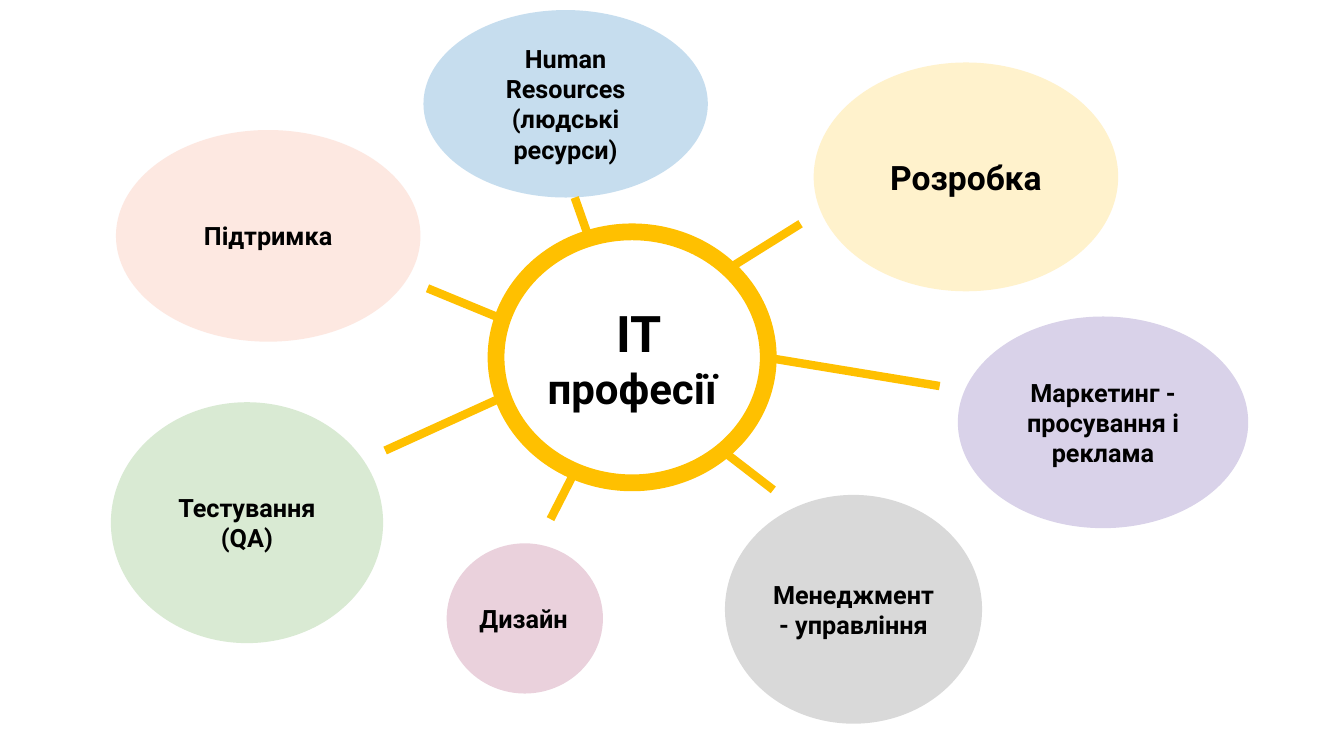
from dataclasses import dataclass

import pptx
import pptx.dml.color
import pptx.enum.shapes
import pptx.enum.text
import pptx.oxml.ns
import pptx.util
from lxml import etree

PX = 9144  # EMU per px, 100 px to the inch
FONT = "Roboto"
AMBER = "FFC000"
CENTER = pptx.enum.text.PP_ALIGN.CENTER
LEFT = pptx.enum.text.PP_ALIGN.LEFT


@dataclass
class Bubble:
    x: int
    y: int
    w: int
    h: int
    fill: str
    text: str
    size: int = 18
    alpha: int = 100
    align: pptx.enum.text.PP_ALIGN = CENTER


@dataclass
class Spoke:
    x1: int
    y1: int
    x2: int
    y2: int


BUBBLES = [
    Bubble(115, 129, 302, 210, "F8A185", "Підтримка", alpha=24),
    Bubble(420, 10, 282, 186, "1274BB", "Human\nResources", alpha=24),
    Bubble(807, 62, 302, 227, "FFF2CC", "Розробка", size=24),
    Bubble(110, 399, 270, 239, "D9EAD3", "Тестування (QA)"),
    Bubble(443, 539, 155, 149, "EAD1DC", "Дизайн", align=LEFT),
    Bubble(719, 491, 255, 227, "D9D9D9", "Менеджмент - управління"),
    Bubble(950, 314, 288, 210, "D9D2E9", "Маркетинг - просування і реклама"),
]
HR_TRANSLATION = "(людські ресурси)"

SPOKES = [
    Spoke(722, 267, 794, 222),
    Spoke(762, 355, 932, 383),
    Spoke(719, 449, 767, 486),
    Spoke(568, 472, 546, 515),
    Spoke(492, 397, 382, 447),
    Spoke(492, 314, 424, 286),
    Spoke(582, 230, 570, 196),
]


def px(n: int) -> int:
    return pptx.util.Emu(n * PX)


def rgb(color: str) -> pptx.dml.color.RGBColor:
    return pptx.dml.color.RGBColor.from_string(color)


def add_text(p, text: str, *, size: int, align=CENTER) -> None:
    """Append bold text to a paragraph, one run per line."""
    p.alignment = align
    for i, line in enumerate(text.split("\n")):
        if i:
            p.add_line_break()
        r = p.add_run()
        r.text = line
        r.font.name = FONT
        r.font.size = pptx.util.Pt(size)
        r.font.bold = True
        r.font.color.rgb = rgb("000000")


def add_bubble(s, b: Bubble, inset: int = 5):
    oval = pptx.enum.shapes.MSO_SHAPE.OVAL
    sp = s.shapes.add_shape(oval, px(b.x), px(b.y), px(b.w), px(b.h))
    sp.shadow.inherit = False
    sp.fill.solid()
    sp.fill.fore_color.rgb = rgb(b.fill)
    sp.line.fill.background()
    if b.alpha < 100:
        clr = sp.fill._xPr.find(".//" + pptx.oxml.ns.qn("a:srgbClr"))
        etree.SubElement(clr, pptx.oxml.ns.qn("a:alpha"), val=str(b.alpha * 1000))
    tf = sp.text_frame
    tf.word_wrap = True
    tf.vertical_anchor = pptx.enum.text.MSO_ANCHOR.MIDDLE
    tf.margin_left = tf.margin_right = px(10)
    tf.margin_top = tf.margin_bottom = px(inset)
    add_text(tf.paragraphs[0], b.text, size=b.size, align=b.align)
    return sp


def add_spoke(s, k: Spoke) -> None:
    straight = pptx.enum.shapes.MSO_CONNECTOR.STRAIGHT
    c = s.shapes.add_connector(straight, px(k.x1), px(k.y1), px(k.x2), px(k.y2))
    c.line.color.rgb = rgb(AMBER)
    c.line.width = pptx.util.Pt(6)
    etree.SubElement(c._element.spPr, pptx.oxml.ns.qn("a:effectLst"))


def main() -> None:
    prs = pptx.Presentation()
    prs.slide_width, prs.slide_height = px(1333), px(750)
    s = prs.slides.add_slide(prs.slide_layouts[6])

    # Central ring with a two-size title
    hub = add_bubble(s, Bubble(492, 230, 270, 249, "FFFFFF", " IT ", size=36), inset=10)
    hub.line.color.rgb = rgb(AMBER)
    hub.line.width = pptx.util.Pt(12)
    add_text(hub.text_frame.paragraphs[0], "професії", size=30)

    # Professions around the ring
    for b in BUBBLES:
        sp = add_bubble(s, b)
        if b.text.startswith("Human"):
            add_text(sp.text_frame.add_paragraph(), HR_TRANSLATION, size=b.size)

    # Spokes from the ring outwards
    for k in SPOKES:
        add_spoke(s, k)

    prs.save("out.pptx")


if __name__ == "__main__":
    main()
